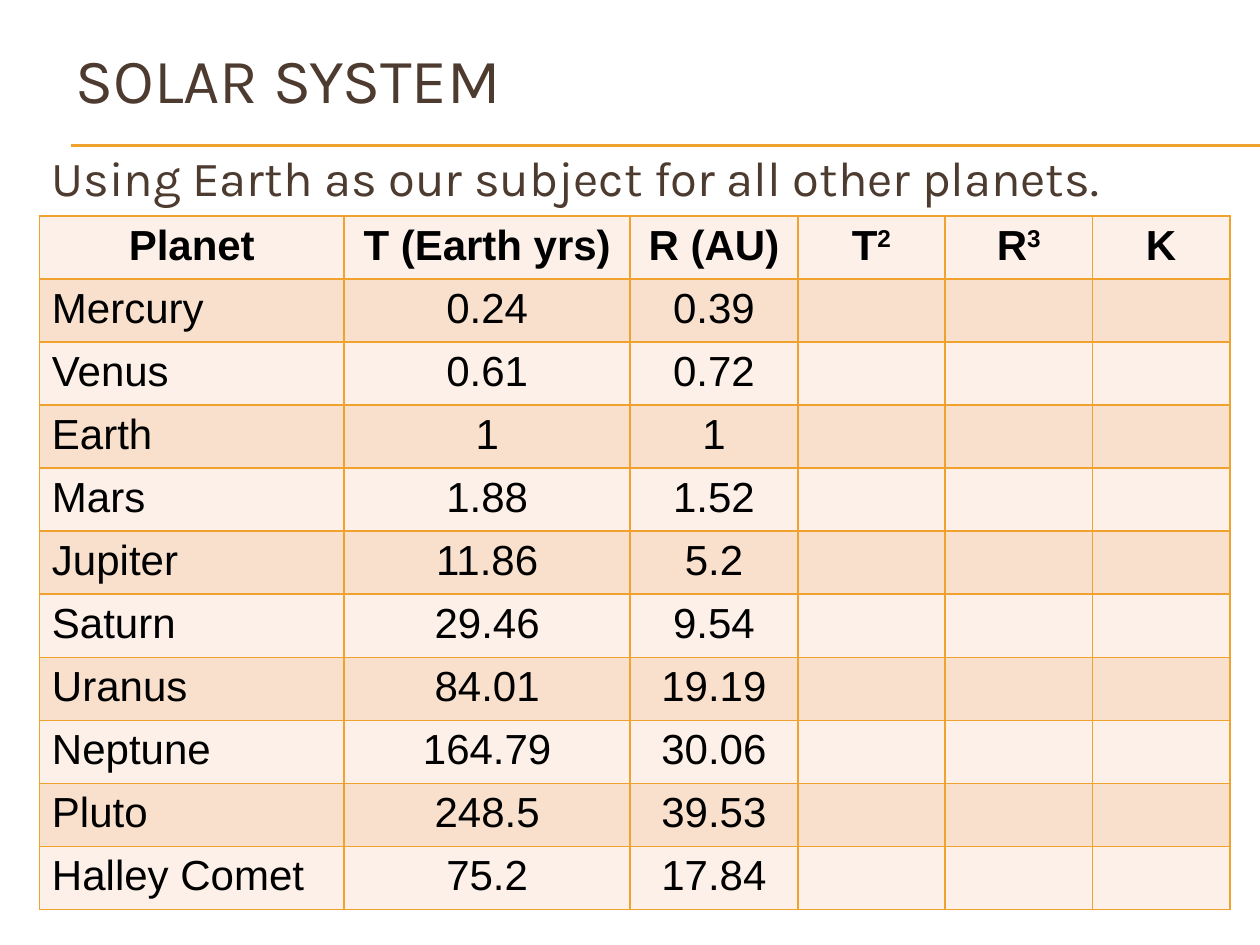
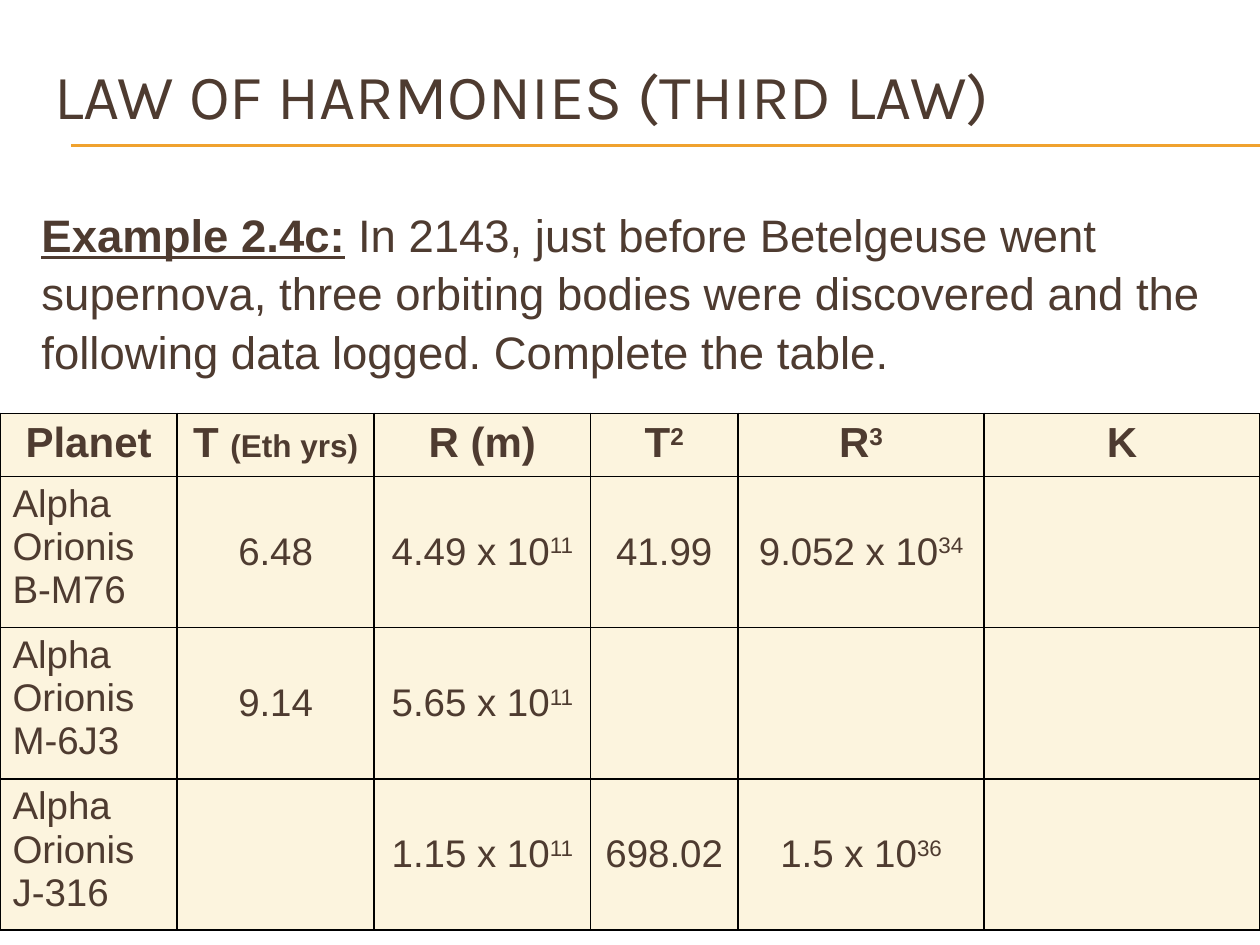
from lxml import etree
from pptx import Presentation
from pptx.dml.color import RGBColor
from pptx.enum.shapes import MSO_CONNECTOR
from pptx.enum.text import MSO_ANCHOR, PP_ALIGN
from pptx.oxml.ns import qn
from pptx.util import Pt

LINE = MSO_CONNECTOR.STRAIGHT
TOP, MID = MSO_ANCHOR.TOP, MSO_ANCHOR.MIDDLE
LEFT, CENTER = PP_ALIGN.LEFT, PP_ALIGN.CENTER
COLORS = {"text": "4E3B30", "gold": "F0A22E", "black": "000000",
          "pale": "FCF0E8", "peach": "F9E0CD", "cream": "FBEEC9"}
HEAD, BODY = "Karla", "Arial"


def rgb(name):
    return RGBColor.from_string(COLORS[name])


def put(par, text, size, font=BODY, color="text", bold=False):
    """Add runs to a paragraph; a part after ^ is raised."""
    for i, part in enumerate(text.split("^")):
        run = par.add_run()
        run.text = part
        run.font.size = Pt(size)
        run.font.name = font
        run.font.bold = bold
        run.font.color.rgb = rgb(color)
        if i:
            run.font._element.set("baseline", "30000")
    return run


# Content: boxes are left, top, width, height
pages = [
    {"title": "SOLAR SYSTEM", "tbox": (36, 0, 648, 90),
     "lead": "", "body": "Using Earth as our subject for all other planets.",
     "bbox": (22.3, 78.5, 686, 84), "font": HEAD, "size": 28,
     "left": 22.5, "top": 123.4, "cols": [174.2, 163.4, 95.8, 84.2, 84.2, 78.5],
     "high": 35.25, "cell": 24, "ink": "black", "edge": "gold",
     "fills": ["pale", "peach"], "alpha": 100, "anchor": TOP,
     "rows": [
         ["Planet", "T (Earth yrs)", "R (AU)", "T^2", "R^3", "K"],
         ["Mercury", "0.24", "0.39"],
         ["Venus", "0.61", "0.72"],
         ["Earth", "1", "1"],
         ["Mars", "1.88", "1.52"],
         ["Jupiter", "11.86", "5.2"],
         ["Saturn", "29.46", "9.54"],
         ["Uranus", "84.01", "19.19"],
         ["Neptune", "164.79", "30.06"],
         ["Pluto", "248.5", "39.53"],
         ["Halley Comet", "75.2", "17.84"]]},
    {"title": "LAW OF HARMONIES (THIRD LAW)", "tbox": (23.8, 21, 684, 66),
     "lead": "Example 2.4c:",
     "body": " In 2143, just before Betelgeuse went supernova, three orbiting "
             "bodies were discovered and the following data logged. "
             "Complete the table.",
     "bbox": (16.6, 112.5, 686, 118), "font": BODY, "size": 26,
     "left": 0, "top": 236.2, "cols": [101.3, 112.5, 123.7, 84.3, 140.6, 157.6],
     "high": 80.9, "cell": 22, "ink": "text", "edge": "black",
     "fills": ["cream"], "alpha": 60, "anchor": MID,
     "rows": [
         ["Planet", "T ", "R (m)", "T^2", "R^3", "K"],
         ["Alpha Orionis B-M76", "6.48", "4.49 x 10^11", "41.99", "9.052 x 10^34"],
         ["Alpha Orionis M-6J3", "9.14", "5.65 x 10^11"],
         ["Alpha Orionis J-316", "", "1.15 x 10^11", "698.02", "1.5 x 10^36"]]},
]

deck = Presentation()
deck.slide_width, deck.slide_height = Pt(720), Pt(540)

for page in pages:
    slide = deck.slides.add_slide(deck.slide_layouts[6])
    shapes = slide.shapes

    # Double rule under the title
    for y in (82.8, 83.5):
        rule = shapes.add_connector(LINE, Pt(40.5), Pt(y), Pt(720), Pt(y))
        rule.line.color.rgb = rgb("gold")
        rule.line.width = Pt(0.75)
        etree.SubElement(rule._element.spPr, qn("a:effectLst"))

    # Title
    frame = shapes.add_textbox(*map(Pt, page["tbox"])).text_frame
    frame.word_wrap = True
    frame.vertical_anchor = MID
    put(frame.paragraphs[0], page["title"], 36, HEAD)

    # Body text
    frame = shapes.add_textbox(*map(Pt, page["bbox"])).text_frame
    frame.word_wrap = True
    par = frame.paragraphs[0]
    par.line_spacing = 1.07
    if page["lead"]:
        put(par, page["lead"], page["size"], page["font"], bold=True).font.underline = True
    put(par, page["body"], page["size"], page["font"])

    # Table grid
    rows, cols = page["rows"], page["cols"]
    highs = [34] + [page["high"]] * (len(rows) - 1)
    grid = shapes.add_table(len(rows), len(cols), Pt(page["left"]), Pt(page["top"]),
                            Pt(sum(cols)), Pt(sum(highs))).table
    grid.first_row = grid.horz_banding = False
    for col, wide in zip(grid.columns, cols):
        col.width = Pt(wide)
    for row, high in zip(grid.rows, highs):
        row.height = Pt(high)

    # Table cells
    for r, row in enumerate(rows):
        for c in range(len(cols)):
            cell = grid.cell(r, c)
            props = cell._tc.get_or_add_tcPr()
            for side in ("lnL", "lnR", "lnT", "lnB"):
                edge = etree.SubElement(props, qn("a:" + side), w=str(Pt(1)))
                paint = etree.SubElement(edge, qn("a:solidFill"))
                etree.SubElement(paint, qn("a:srgbClr"), val=COLORS[page["edge"]])
            cell.fill.solid()
            cell.fill.fore_color.rgb = rgb(page["fills"][r % len(page["fills"])])
            if page["alpha"] < 100:
                tint = props.find(qn("a:solidFill"))[0]
                etree.SubElement(tint, qn("a:alpha"), val=str(page["alpha"] * 1000))
            cell.vertical_anchor = page["anchor"] if r and c else TOP
            par = cell.text_frame.paragraphs[0]
            par.alignment = LEFT if r and not c else CENTER
            if c < len(row) and row[c]:
                put(par, row[c], page["cell"] if r else 24, color=page["ink"], bold=r == 0)

# Small unit in the last table's header
put(grid.cell(0, 1).text_frame.paragraphs[0], "(Eth yrs)", 18, bold=True)

deck.save("out.pptx")
